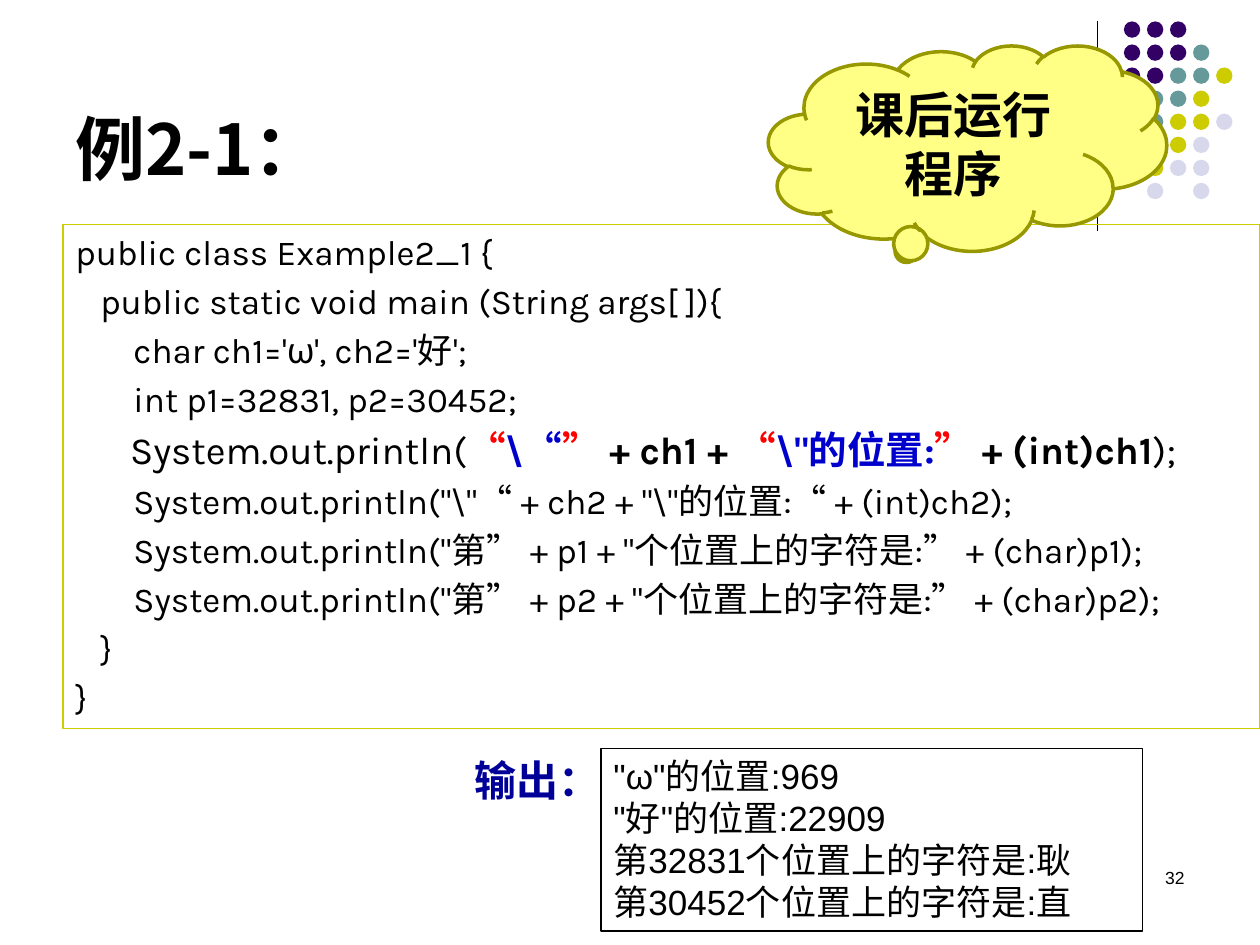
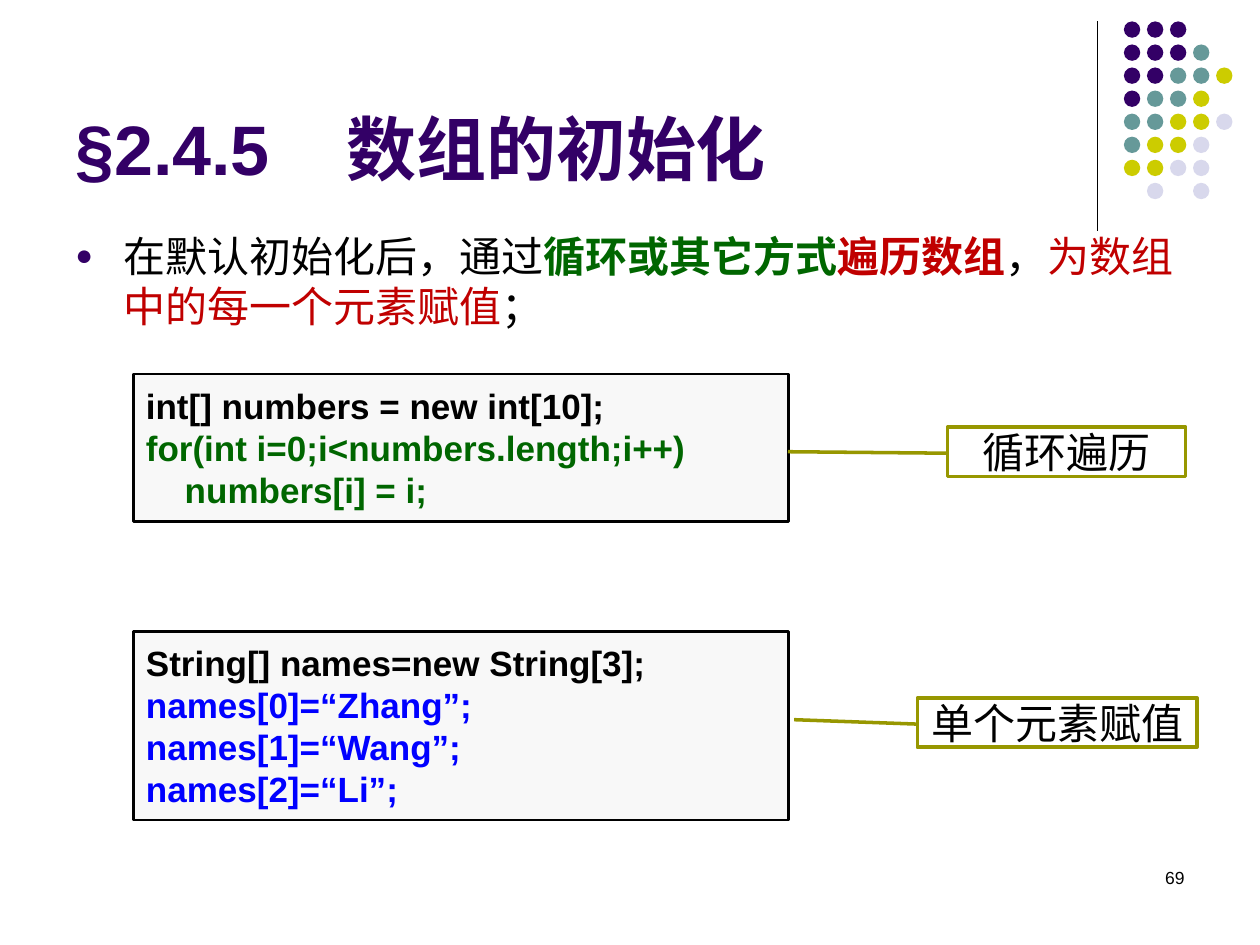
from lxml import etree
from pptx import Presentation
from pptx import util as u
from pptx.dml.color import RGBColor
from pptx.enum import shapes, text
from pptx.oxml.ns import qn

# Colours
BLACK = RGBColor(0x00, 0x00, 0x00)
WHITE = RGBColor(0xFF, 0xFF, 0xFF)
PURPLE = RGBColor(0x33, 0x00, 0x66)
TEAL = RGBColor(0x66, 0x99, 0x99)
LIME = RGBColor(0xCC, 0xCC, 0x00)
LILAC = RGBColor(0xD8, 0xD8, 0xEC)
OLIVE = RGBColor(0x97, 0x97, 0x00)
CREAM = RGBColor(0xFF, 0xFF, 0x85)
PALE = RGBColor(0xF8, 0xF8, 0xF8)
NAVY = RGBColor(0x00, 0x00, 0x99)
BLUE = RGBColor(0x00, 0x00, 0xCC)
VIVID = RGBColor(0x00, 0x00, 0xFF)
RED = RGBColor(0xFF, 0x00, 0x00)
BRICK = RGBColor(0xC0, 0x00, 0x00)
GREEN = RGBColor(0x00, 0x66, 0x00)

# Fonts
ARIAL, KARLA = "Arial", "Karla"
HAN, KANJI = "Noto Sans CJK SC", "Noto Sans CJK JP"

# Page grid: 100 columns by 75 rows of square cells
WIDE, HIGH = u.Inches(10), u.Inches(7.5)
CELL = WIDE / 100

DOTS = ["PPP", "PPPT", "PPTTY", "PTTY", "TTYYL", "TYYL", "YYLL", " L L"]
TINTS = {"P": PURPLE, "T": TEAL, "Y": LIME, "L": LILAC}
SHAPE = shapes.MSO_SHAPE
MID, LOW = text.MSO_ANCHOR.MIDDLE, text.MSO_ANCHOR.BOTTOM
CENTER, RIGHT = text.PP_ALIGN.CENTER, text.PP_ALIGN.RIGHT


def grid(*cells):
    return [u.Emu(round(n * CELL)) for n in cells]


def run(para, words, size, font=ARIAL, color=BLACK, bold=False):
    part = para.add_run()
    part.text = words
    face = part.font
    face.name, face.size, face.bold = font, u.Pt(size), bold
    face.color.rgb = color
    east = HAN if font in (ARIAL, KARLA) else font
    face.fill  # colour precedes the typefaces
    latin = part._r.rPr.find(qn("a:latin"))
    mark = etree.Element(qn("a:ea"))
    mark.set("typeface", east)
    latin.addnext(mark)


def fill(item, paras, size, anchor=text.MSO_ANCHOR.TOP, align=None, gap=0,
         hang=0, setup=None):
    """Write paragraphs, each a list of (words, style) runs."""
    frame = item.text_frame
    frame.word_wrap = True
    frame.vertical_anchor = anchor
    for i, runs in enumerate(paras):
        para = frame.add_paragraph() if i else frame.paragraphs[0]
        if setup:
            setup(para)
        if hang:
            props = para._p.get_or_add_pPr()
            props.set("marL", str(hang))
            props.set("indent", str(-hang))
        para.alignment = align or text.PP_ALIGN.LEFT
        tall = max(style.get("size", size) for _, style in runs)
        para.line_spacing = u.Pt(round(tall * 1.2, 1))
        if i and gap:
            para.space_before = u.Pt(gap)
        for words, style in runs:
            run(para, words, **{"size": size, **style})


def label(slide, cells, paras, size, **rest):
    item = slide.shapes.add_textbox(*grid(*cells))
    fill(item, paras, size, **rest)


def panel(slide, kind, cells, back, edge, weight, adjust=()):
    item = slide.shapes.add_shape(kind, *grid(*cells))
    item.shadow.inherit = False
    for i, value in enumerate(adjust):
        item.adjustments[i] = value
    if back is None:
        item.fill.background()
    else:
        item.fill.solid()
        item.fill.fore_color.rgb = back
    if edge is None:
        item.line.fill.background()
    else:
        item.line.color.rgb = edge
        item.line.width = u.Pt(weight)
    return item


def frame(slide, runs, number, setup=None):
    """Rule, dot pattern, title and page number."""
    x, top, end = grid(87.1, 1.7, 18.3)
    rule = slide.shapes.add_connector(
        shapes.MSO_CONNECTOR.STRAIGHT, x, top, x, end)
    rule.line.color.rgb = BLACK
    rule.line.width = u.Pt(0.75)
    etree.SubElement(rule._element.spPr, qn("a:effectLst"))
    for row, line in enumerate(DOTS):
        for col, key in enumerate(line):
            if key in TINTS:
                spot = (89.2 + col * 1.83, 1.7 + row * 1.83, 1.3, 1.3)
                panel(slide, SHAPE.OVAL, spot, TINTS[key], None, 0)
    label(slide, (5, 1.3, 82.5, 14.2), [runs], 40, anchor=LOW, setup=setup)
    label(slide, (71.7, 68.3, 23.3, 5), [[(number, {})]], 10, align=RIGHT)


def code(words, **style):
    """Split code so that curly quotes take the full-width face."""
    runs, piece = [], ""
    for sign in words:
        if sign in "“”":
            if piece:
                runs.append((piece, {"font": KARLA, **style}))
            runs.append((sign, {**style, "font": HAN}))
            piece = ""
        else:
            piece += sign
    if piece:
        runs.append((piece, {"font": KARLA, **style}))
    return runs


def tab(para):
    stops = etree.SubElement(para._p.get_or_add_pPr(), qn("a:tabLst"))
    etree.SubElement(stops, qn("a:tab"), pos=str(grid(21.5)[0]), algn="l")


def bullet(para):
    props = para._p.get_or_add_pPr()
    tint = etree.SubElement(props, qn("a:buClr"))
    etree.SubElement(tint, qn("a:srgbClr"), val=str(PURPLE))
    etree.SubElement(props, qn("a:buSzPct"), val="70000")
    etree.SubElement(props, qn("a:buFont"), typeface=ARIAL)
    etree.SubElement(props, qn("a:buChar"), char="●")


def sample(slide, cells, head, lines, color):
    """Code box: a black first line, then coloured lines."""
    item = panel(slide, SHAPE.RECTANGLE, cells, PALE, BLACK, 1.5)
    paras = [[(head, {"bold": True})]]
    paras += [[(line, {"bold": True, "color": color})] for line in lines]
    fill(item, paras, 20, anchor=MID)


def callout(slide, cells, words, adjust):
    item = panel(slide, SHAPE.LINE_CALLOUT_1, cells, WHITE, OLIVE, 2, adjust)
    fill(item, [[(words, {})]], 24, anchor=MID, align=CENTER)


def example(slide):
    frame(slide, [("例2-1：", {"font": HAN, "bold": True})], "32")

    # Program listing
    mixed = code("      System.out.println(", size=22)
    for words, color in [("“", RED), ("\\“", BLUE), ("” ", RED),
                         ("+ ch1 + ", BLACK), ("“", RED),
                         ("\\\"的位置:", BLUE), ("” ", RED),
                         ("+ (int)ch1", BLACK)]:
        mixed += code(words, size=22, color=color, bold=True)
    mixed += code(");", size=22)
    before = ["public class Example2_1 {",
              "   public static void main (String args[ ]){",
              "       char ch1='ω', ch2='好';",
              "       int p1=32831, p2=30452;"]
    after = ['       System.out.println("\\"“ + ch2 + "\\"的位置:“ + (int)ch2);']
    after += [f'       System.out.println("第” + {p} + '
              f'"个位置上的字符是:” + (char){p});' for p in ("p1", "p2")]
    after += ["   }", "}"]
    paras = [code(s) for s in before] + [mixed] + [code(s) for s in after]
    box = panel(slide, SHAPE.RECTANGLE, (5, 17.8, 95, 40), None, LIME, 0.75)
    fill(box, paras, 20, gap=4, hang=grid(3.8)[0])

    # Program output
    out = panel(slide, SHAPE.RECTANGLE, (47.7, 59.4, 43, 14.5),
                None, BLACK, 0.75)
    lines = ['"ω"的位置:969', '"好"的位置:22909',
             "第32831个位置上的字符是:耿", "第30452个位置上的字符是:直"]
    fill(out, [[(line, {})] for line in lines], 20)
    label(slide, (36.7, 59.4, 12.5, 5),
          [[("输出：", {"color": NAVY, "bold": True})]], 24)

    # Reminder cloud
    cloud = panel(slide, SHAPE.CLOUD_CALLOUT, (61, 3.6, 31.6, 16.3),
                  CREAM, OLIVE, 2, (-0.15, 0.49))
    fill(cloud, [[("课后运行程序", {"bold": True})]], 28,
         anchor=MID, align=CENTER)


def arrays(slide):
    head = {"color": PURPLE, "bold": True}
    frame(slide, [("§2.4.5\t", head), ("数组的初始化", {**head, "font": HAN})],
          "69", setup=tab)

    # Statement
    label(slide, (5, 17.8, 90, 49.2), [[
        ("在", {}),
        ("默认初始化", {"font": KANJI}),
        ("后，通过", {}),
        ("循环或其它方式", {"font": HAN, "color": GREEN, "bold": True}),
        ("遍历数组", {"font": HAN, "color": BRICK, "bold": True}),
        ("，", {}),
        ("为数组中的每一个元素赋值", {"color": BRICK}),
        ("；", {}),
    ]], 24, hang=grid(3.8)[0], setup=bullet)

    # Code samples and their callouts
    sample(slide, (10.6, 50.1, 52, 15), "String[] names=new String[3];",
           [f"names[{i}]=“{name}”;"
            for i, name in enumerate(["Zhang", "Wang", "Li"])], VIVID)
    sample(slide, (10.6, 29.7, 52, 11.7), "int[] numbers = new int[10];",
           ["for(int i=0;i<numbers.length;i++)", "    numbers[i] = i;"], GREEN)
    callout(slide, (75.2, 33.9, 18.9, 3.9), "循环遍历",
            (0.53, 0, 0.5, -0.67))
    callout(slide, (72.8, 55.4, 22.2, 3.9), "单个元素赋值",
            (0.53, 0, 0.44, -0.44))


def main():
    deck = Presentation()
    deck.slide_width, deck.slide_height = WIDE, HIGH
    for build in (example, arrays):
        build(deck.slides.add_slide(deck.slide_layouts[6]))
    deck.save("out.pptx")


if __name__ == "__main__":
    main()
